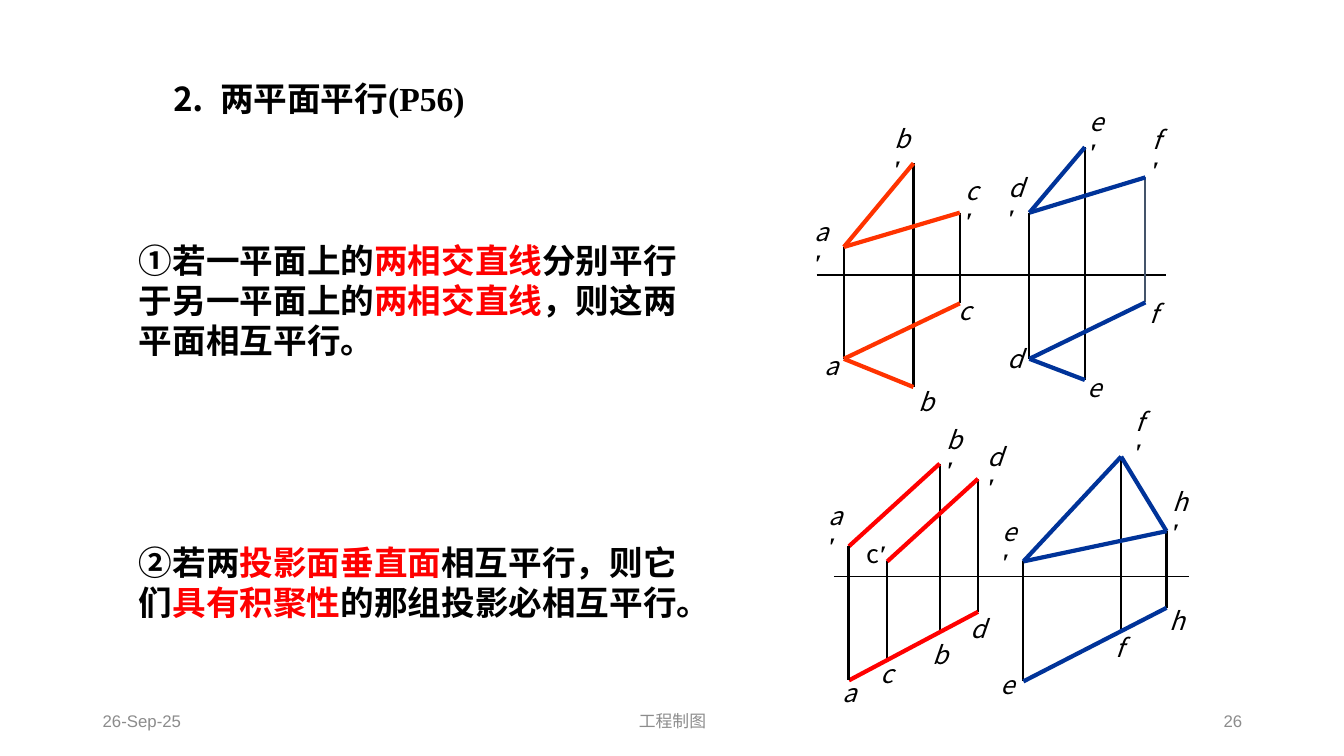
from lxml import etree
from pptx import Presentation
from pptx.dml.color import RGBColor
from pptx.enum.shapes import MSO_CONNECTOR
from pptx.enum.text import MSO_ANCHOR, PP_ALIGN
from pptx.oxml.ns import qn
from pptx.util import Emu, Pt

LINE = MSO_CONNECTOR.STRAIGHT
MIDDLE = MSO_ANCHOR.MIDDLE
LEFT, CENTER, RIGHT = PP_ALIGN.LEFT, PP_ALIGN.CENTER, PP_ALIGN.RIGHT

SANS, SERIF, ARIAL = "Noto Sans CJK SC", "Times New Roman", "Arial"
BLACK, GREY, SLATE = "000000", "8C8C8C", "44546A"
RED, ORANGE, BLUE = "FF0000", "FF3300", "003399"


def px(n):
    """100 px make one inch."""
    return Emu(n * 9144)


def rgb(code):
    return RGBColor.from_string(code)


class Board:
    def __init__(self, slide):
        self.slide = slide
        self.shapes = slide.shapes

    def group(self):
        """Send the next elements into a new group."""
        self.shapes = self.slide.shapes.add_group_shape().shapes

    def line(self, start, end, color=BLACK, width=1.5):
        rule = self.shapes.add_connector(LINE, *map(px, start + end))
        rule.line.color.rgb = rgb(color)
        rule.line.width = Pt(width)
        etree.SubElement(rule._element.spPr, qn("a:effectLst"))

    def text(self, box, runs, size, align=LEFT):
        """Each run is (text, font, colour, bold, italic)."""
        frame = self.shapes.add_textbox(*map(px, box)).text_frame
        frame.word_wrap = True
        frame.vertical_anchor = MIDDLE
        para = frame.paragraphs[0]
        para.alignment = align
        for words, face, color, bold, italic in runs:
            run = para.add_run()
            run.text = words
            font = run.font
            font.name, font.size = face, Pt(size)
            font.bold, font.italic = bold, italic
            font.color.rgb = rgb(color)
            east = etree.SubElement(run._r.get_or_add_rPr(), qn("a:ea"))
            east.set("typeface", SANS)

    def label(self, name, spot, prime=False):
        """Italic point name, with a bold prime in the upper view."""
        width = {"c": 31, "f": 28}.get(name, 33)
        runs = [(name, SANS, BLACK, False, True)]
        if prime:
            width += 6
            runs.append(("′", SERIF, BLACK, True, True))
        self.text((*spot, width, 40), runs, 18)

    def views(self, points, edges):
        """Draw both views of the points and the lines that join them."""
        for x, top, low, color, *_ in points.values():
            self.line((x, top), (x, low), color)
        for color, upper, lower in edges:
            for row, pairs in ((1, upper), (2, lower)):
                for p, q in pairs.split():
                    ends = [(points[n][0], points[n][row]) for n in (p, q)]
                    self.line(*ends, color, 3)
        for name, (*_, high, base) in points.items():
            if high:
                self.label(name, high, True)
            self.label(name, base)


# Point: x, upper y, lower y, projector colour, label spots of both views
CROSSED = {
    "a": (837, 245, 356, BLACK, (798, 225), (808, 343)),
    "b": (906, 162, 384, BLACK, (877, 132), (901, 378)),
    "c": (952, 211, 301, BLACK, (948, 184), (941, 288)),
    "d": (1021, 211, 356, BLACK, (990, 181), (989, 336)),
    "e": (1076, 146, 377, BLACK, (1071, 115), (1069, 364)),
    "f": (1136, 176, 300, SLATE, (1133, 133), (1130, 291)),
}
EDGEWISE = {
    "a": (842, 542, 675, BLACK, (812, 506), (826, 667)),
    "b": (932, 460, 627, BLACK, (929, 431), (915, 629)),
    "c": (880, 557, 654, BLACK, None, (863, 648)),
    "d": (970, 475, 607, BLACK, (970, 448), (953, 603)),
    "e": (1015, 557, 676, BLACK, (984, 522), (983, 659)),
    "f": (1112, 453, 624, BLACK, (1116, 413), (1097, 622)),
    "h": (1157, 527, 603, BLACK, (1153, 492), (1150, 596)),
}


def main():
    deck = Presentation()
    deck.slide_width, deck.slide_height = px(1333), px(750)
    board = Board(deck.slides.add_slide(deck.slide_layouts[6]))

    # Title
    board.text((160, 72, 316, 50),
               [("⒉  两平面平行(P56)", SERIF, BLACK, True, False)], 24)

    # Footer
    for left, width, words, align in ((92, 300, "26-Sep-25", LEFT),
                                      (442, 450, "工程制图", CENTER),
                                      (942, 300, "26", RIGHT)):
        board.text((left, 695, width, 40),
                   [(words, ARIAL, GREY, False, False)], 12, align)

    # Theorems: every second piece is red
    for box, pieces in (
        ((128, 232, 555, 131),
         ("①若一平面上的", "两相交直线", "分别平行于另一平面上的",
          "两相交直线", "，则这两平面相互平行。")),
        ((128, 532, 577, 91),
         ("②若两", "投影面垂直面", "相互平行，则它们",
          "具有积聚性", "的那组投影必相互平行。")),
    ):
        runs = [(piece, SANS, RED if i % 2 else BLACK, True, False)
                for i, piece in enumerate(pieces)]
        board.text(box, runs, 24)

    # Planes given by crossing lines
    board.group()
    board.line((810, 273), (1156, 273))
    board.views(CROSSED, ((ORANGE, "ab ac", "ab ac"),
                          (BLUE, "de df", "de df")))

    # Planes seen edge-on in the lower view
    board.group()
    board.line((827, 572), (1179, 572), width=1)
    board.views(EDGEWISE, ((RED, "ab cd", "ad"),
                           (BLUE, "ef eh fh", "eh")))
    board.line((842, 542), (842, 675), width=2.25)
    board.text((850, 524, 43, 50), [("c", SANS, BLACK, False, False),
                                    ("′", SERIF, BLACK, True, False)], 18)

    deck.save("out.pptx")


if __name__ == "__main__":
    main()
